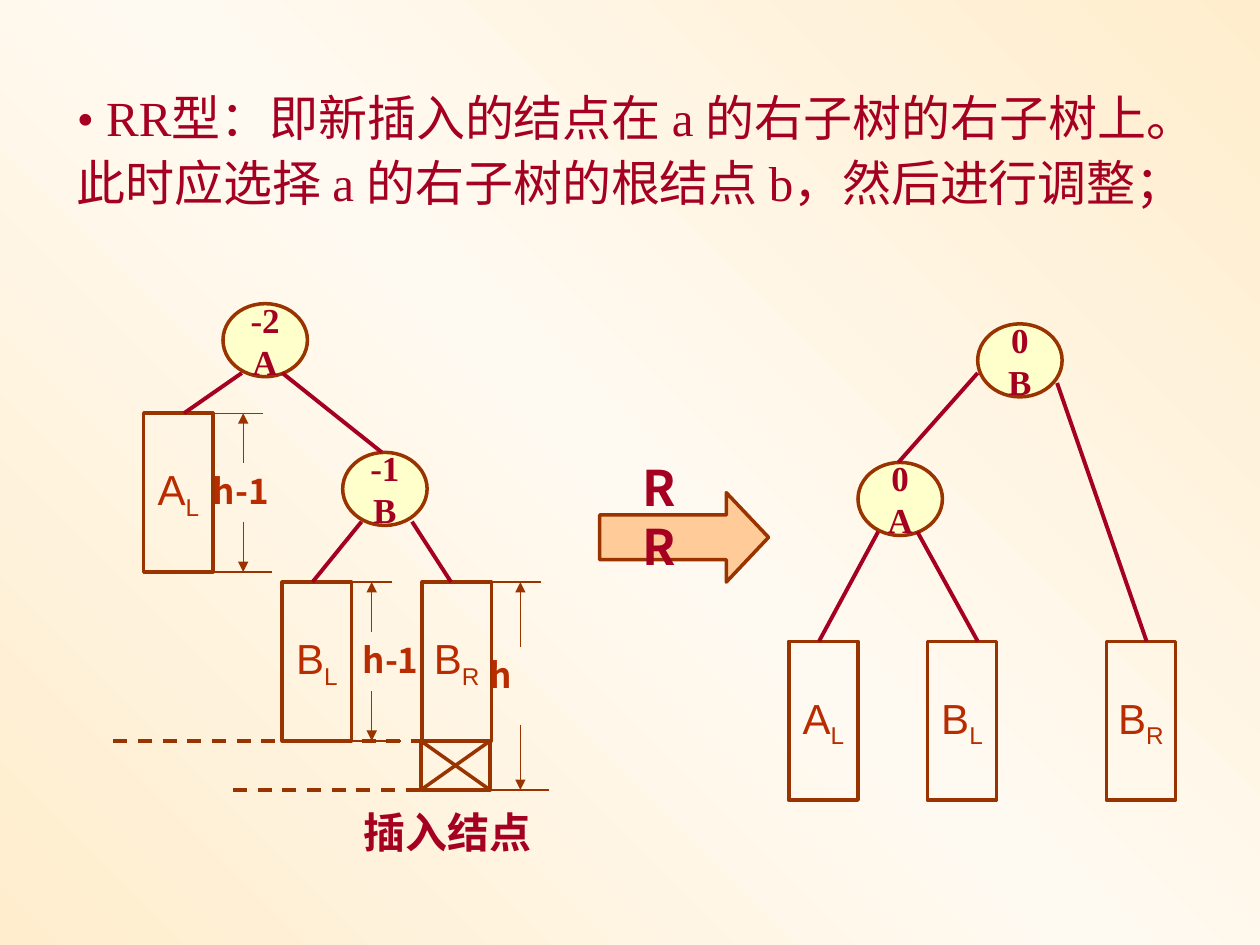
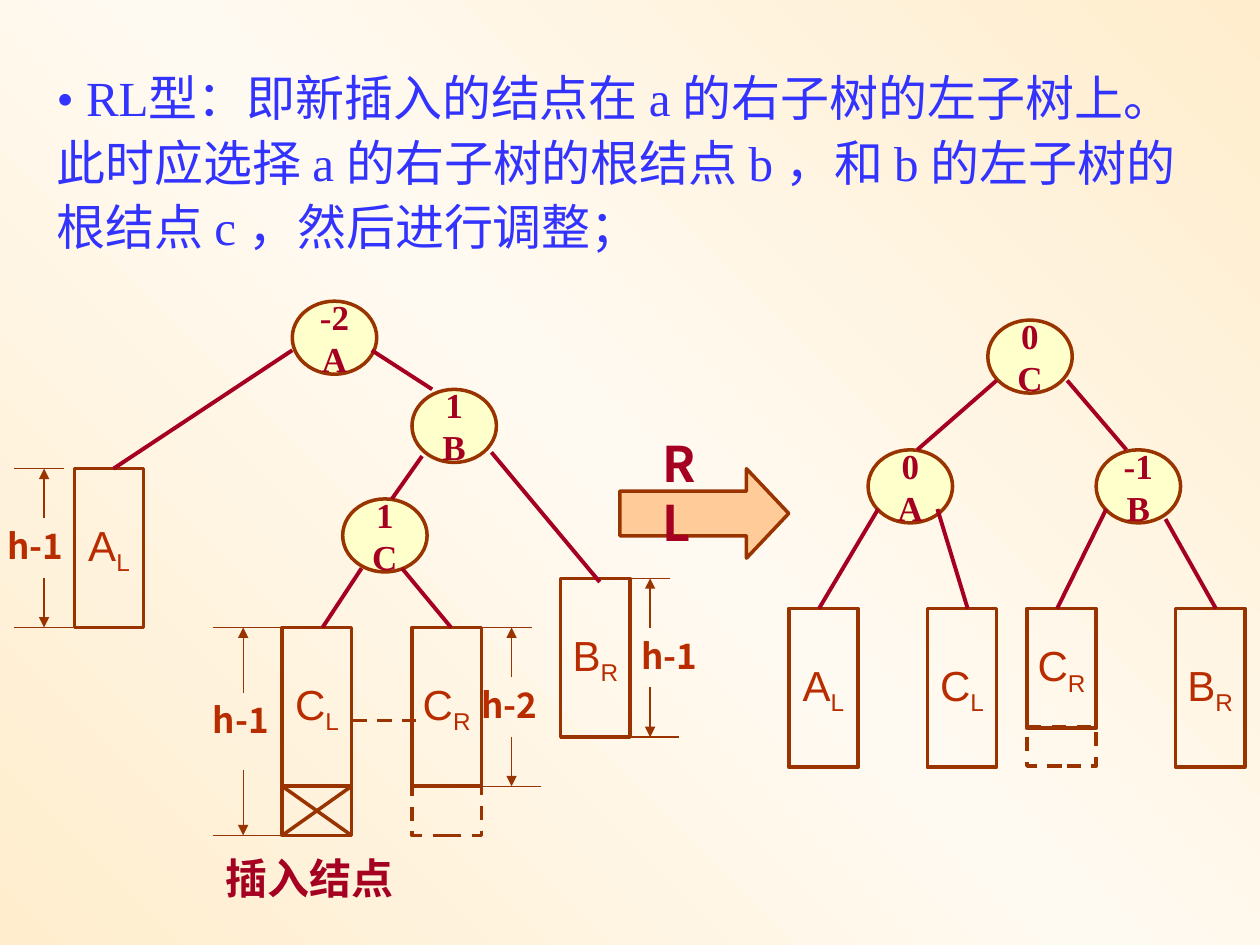
from copy import deepcopy

from lxml import etree
from pptx import Presentation
from pptx import util as u
from pptx.dml.color import RGBColor
from pptx.enum import dml, shapes, text
from pptx.oxml.ns import qn

# Shared look
CRIMSON, BLUE = "A50021", "3333FF"
BROWN, RUST = "993300", "B82C00"
NODE_FILL, ARROW_FILL = "FFFFCC", "FFCC99"
BACKGROUND = ["FFEDCD", "FFFAF1", "FFEDCD"]
SERIF, SANS, CJK = "Times New Roman", "Arial", "Noto Sans CJK SC"

# Shared sizes, in inches
NODE_W, NODE_H = 0.67, 0.58
TREE_W, TREE_H = 0.55, 1.26
EXTRA_H = 0.39


def rgb(hex_string):
    return RGBColor.from_string(hex_string)


def box(left, top, width, height):
    return [u.Inches(value) for value in (left, top, width, height)]


def set_font(paragraph, size, name, color, bold=False):
    font = paragraph.font
    font.size, font.name, font.bold = u.Pt(size), name, bold
    font.color.rgb = rgb(color)
    if name == CJK:
        latin = font._element.find(qn("a:latin"))
        east_asian = etree.Element(qn("a:ea"), typeface=name)
        latin.addnext(east_asian)


def set_background(master):
    """Diagonal cream gradient behind every slide."""
    fill = master.background.fill
    fill.gradient()
    fill.gradient_angle = 45
    first = fill.gradient_stops[0]._gs
    first.addnext(deepcopy(first))
    for i, (stop, color) in enumerate(zip(fill.gradient_stops, BACKGROUND)):
        stop.position = i / 2
        stop.color.rgb = rgb(color)


def add_outline(slide, kind, at, fill=None, dashed=False):
    shape = slide.shapes.add_shape(kind, *box(*at))
    shape.shadow.inherit = False
    if fill:
        shape.fill.solid()
        shape.fill.fore_color.rgb = rgb(fill)
    else:
        shape.fill.background()
    shape.line.color.rgb = rgb(BROWN)
    shape.line.width = u.Pt(2)
    if dashed:
        shape.line.dash_style = dml.MSO_LINE.DASH
    return shape


def add_line(slide, x1, y1, x2, y2, color=BROWN, width=2, dashed=False, arrow=False):
    line = slide.shapes.add_connector(
        shapes.MSO_CONNECTOR.STRAIGHT, *box(x1, y1, x2, y2))
    line.line.color.rgb = rgb(color)
    line.line.width = u.Pt(width)
    if dashed:
        line.line.dash_style = dml.MSO_LINE.DASH
    if arrow:
        etree.SubElement(line.line._get_or_add_ln(), qn("a:tailEnd"), type="triangle")
    etree.SubElement(line._element.spPr, qn("a:effectLst"))


def add_label(slide, wording, at, size, color, wrap=True):
    frame = slide.shapes.add_textbox(*box(*at)).text_frame
    frame.word_wrap = wrap
    frame.text = wording
    set_font(frame.paragraphs[0], size, CJK, color, bold=True)


def center_text(shape):
    frame = shape.text_frame
    frame.word_wrap = False
    frame.vertical_anchor = text.MSO_ANCHOR.MIDDLE
    return frame


def add_node(slide, balance, name, left, top):
    """Tree node showing its balance factor above its name."""
    node = add_outline(slide, shapes.MSO_SHAPE.OVAL,
                       (left, top, NODE_W, NODE_H), NODE_FILL)
    frame = center_text(node)
    frame.text = f"{balance}\n{name}"
    for paragraph in frame.paragraphs:
        paragraph.alignment = text.PP_ALIGN.CENTER
        set_font(paragraph, 20, SERIF, CRIMSON, bold=True)


def add_subtree(slide, name, side, left, top, height=TREE_H):
    """Subtree block such as A with a lowered L."""
    subtree = add_outline(slide, shapes.MSO_SHAPE.RECTANGLE,
                          (left, top, TREE_W, height))
    paragraph = center_text(subtree).paragraphs[0]
    paragraph.alignment = text.PP_ALIGN.CENTER
    paragraph.add_run().text = name
    subscript = paragraph.add_run()
    subscript.text = side
    subscript.font._element.set("baseline", "-25000")
    set_font(paragraph, 24, SANS, RUST)


def add_edges(slide, edges):
    for edge in edges:
        add_line(slide, *edge, color=CRIMSON, width=2.25)


def add_height(slide, wording, x, top, height=TREE_H, reach=0.16, label_dx=-0.34):
    """Height mark: two ticks, two arrows pointing outwards and a label."""
    bottom = top + height
    arrow = 0.313 * height
    thin = dict(width=0.75)
    add_line(slide, x - 0.24, top, x + reach, top, **thin)
    add_line(slide, x - 0.24, bottom, x + reach + 0.07, bottom, **thin)
    add_line(slide, x, top + arrow, x, top, arrow=True, **thin)
    add_line(slide, x, bottom - arrow, x, bottom, arrow=True, **thin)
    add_label(slide, wording, (x + label_dx, top + arrow, 0.87, 0.43), 20, RUST)


def add_inserted(slide, left, top, label_left, label_top):
    """Crossed box for the inserted node, with its caption."""
    right, bottom = left + TREE_W, top + EXTRA_H
    add_outline(slide, shapes.MSO_SHAPE.RECTANGLE, (left, top, TREE_W, EXTRA_H))
    add_line(slide, right, top, left, bottom)
    add_line(slide, left, top, right, bottom)
    add_label(slide, "插入结点", (label_left, label_top, 1.53, 0.5), 24, CRIMSON, wrap=False)


def add_rotation(slide, wording, left, top):
    """Block arrow with the name of the rotation."""
    arrow = add_outline(slide, shapes.MSO_SHAPE.RIGHT_ARROW,
                        (left, top, 1.34, 0.71), ARROW_FILL)
    arrow.adjustments[0], arrow.adjustments[1] = 0.5, 0.472
    add_label(slide, wording, (left + 0.24, top - 0.33, 0.59, 0.57), 28, CRIMSON)


def add_titled_slide(prs, wording, at, color):
    slide = prs.slides.add_slide(prs.slide_layouts[5])
    title = slide.shapes.title
    title.left, title.top, title.width, title.height = box(*at)
    frame = title.text_frame
    frame.text = wording
    frame.word_wrap = True
    frame.auto_size = text.MSO_AUTO_SIZE.NONE
    frame.vertical_anchor = text.MSO_ANCHOR.TOP
    paragraph = frame.paragraphs[0]
    paragraph.alignment = text.PP_ALIGN.LEFT
    paragraph.line_spacing = 1.1
    set_font(paragraph, 28, SERIF, color)
    return slide


def build_rr(prs):
    slide = add_titled_slide(
        prs, "• RR型：即新插入的结点在 a 的右子树的右子树上。"
        "此时应选择 a 的右子树的根结点 b，然后进行调整；",
        (0.51, 0.6, 9.21, 1.13), CRIMSON)
    add_rotation(slide, "RR", 4.76, 3.91)

    # Before the rotation
    add_node(slide, "-2", "A", 1.77, 2.41)
    add_node(slide, "-1", "B", 2.72, 3.59)
    add_subtree(slide, "A", "L", 1.14, 3.28)
    add_subtree(slide, "B", "L", 2.24, 4.62)
    add_subtree(slide, "B", "R", 3.35, 4.62)
    add_edges(slide, [(1.92, 2.96, 1.46, 3.28), (2.24, 2.96, 3.03, 3.59),
                      (2.87, 4.14, 2.48, 4.62), (3.27, 4.14, 3.58, 4.62)])
    add_height(slide, "h-1", 1.93, 3.28)
    add_height(slide, "h-1", 2.95, 4.62, label_dx=-0.17)
    add_height(slide, "h", 4.13, 4.62, TREE_H + EXTRA_H)
    for left, right, y in [(0.9, 2.24, 5.88), (2.87, 3.42, 5.88), (1.85, 3.42, 6.27)]:
        add_line(slide, left, y, right, y, dashed=True)
    add_inserted(slide, 3.34, 5.88, 2.79, 6.35)

    # After the rotation
    add_node(slide, "0", "B", 7.76, 2.57)
    add_node(slide, "0", "A", 6.81, 3.67)
    for name, side, left in [("A", "L", 6.26), ("B", "L", 7.36), ("B", "R", 8.78)]:
        add_subtree(slide, name, side, left, 5.09)
    add_edges(slide, [(7.76, 2.96, 7.13, 3.67), (8.39, 3.04, 9.1, 5.09),
                      (6.97, 4.22, 6.5, 5.09), (7.28, 4.22, 7.76, 5.09)])


def build_rl(prs):
    slide = add_titled_slide(
        prs, "• RL型：即新插入的结点在 a 的右子树的左子树上。"
        "此时应选择 a 的右子树的根结点 b ，和 b 的左子树的根结点 c ，然后进行调整；",
        (0.35, 0.44, 9.29, 1.64), BLUE)
    add_rotation(slide, "RL", 4.92, 3.72)

    # Before the rotation
    add_node(slide, "-2", "A", 2.32, 2.39)
    add_node(slide, "1", "B", 3.27, 3.09)
    add_node(slide, "1", "C", 2.72, 3.96)
    add_subtree(slide, "A", "L", 0.59, 3.72)
    add_subtree(slide, "C", "L", 2.24, 4.98)
    add_subtree(slide, "C", "R", 3.27, 4.98)
    add_subtree(slide, "B", "R", 4.45, 4.59)
    add_edges(slide, [(2.32, 2.78, 0.9, 3.72), (2.95, 2.78, 3.43, 3.09),
                      (3.35, 3.62, 3.11, 3.96), (3.9, 3.59, 4.76, 4.62),
                      (2.87, 4.51, 2.56, 4.98), (3.19, 4.51, 3.58, 4.98)])
    add_height(slide, "h-1", 0.35, 3.72, label_dx=-0.39)
    add_height(slide, "h-1", 1.93, 4.98, TREE_H + EXTRA_H, reach=0.31)
    add_height(slide, "h-2", 4.06, 4.98)
    add_height(slide, "h-1", 5.16, 4.59, label_dx=-0.17)
    add_line(slide, 2.8, 5.72, 3.35, 5.72, dashed=True)
    add_inserted(slide, 2.24, 6.24, 1.69, 6.72)
    add_outline(slide, shapes.MSO_SHAPE.RECTANGLE,
                (3.27, 6.24, TREE_W, EXTRA_H), dashed=True)

    # After the rotation
    add_node(slide, "0", "C", 7.84, 2.54)
    add_node(slide, "0", "A", 6.89, 3.57)
    add_node(slide, "-1", "B", 8.7, 3.57)
    for name, side, left, height in [("A", "L", 6.26, TREE_H), ("C", "L", 7.36, TREE_H),
                                     ("C", "R", 8.15, 0.95), ("B", "R", 9.33, TREE_H)]:
        add_subtree(slide, name, side, left, 4.83, height)
    add_outline(slide, shapes.MSO_SHAPE.RECTANGLE,
                (8.15, 5.77, TREE_W, 0.31), dashed=True)
    add_edges(slide, [(7.91, 3.02, 7.28, 3.57), (8.47, 3.02, 8.94, 3.57),
                      (6.97, 4.04, 6.5, 4.83), (7.44, 4.04, 7.68, 4.83),
                      (8.78, 4.04, 8.39, 4.83), (9.25, 4.12, 9.65, 4.83)])


def main():
    prs = Presentation()
    prs.slide_width, prs.slide_height = u.Inches(10), u.Inches(7.5)
    set_background(prs.slide_master)
    build_rr(prs)
    build_rl(prs)
    prs.save("out.pptx")


if __name__ == "__main__":
    main()
